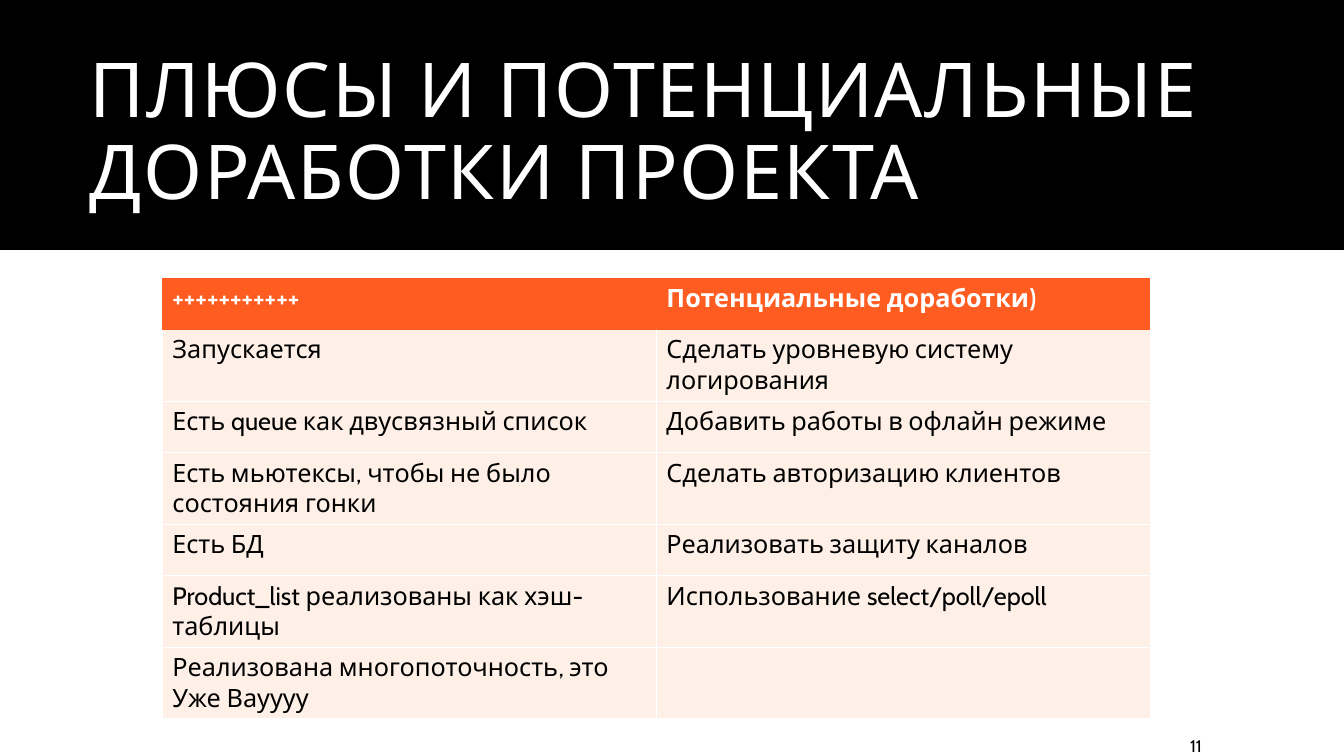
"""Build the slide on the strengths and possible improvements of a project."""
from dataclasses import dataclass

from lxml import etree
from pptx import Presentation
from pptx.dml.color import RGBColor
from pptx.enum.shapes import MSO_SHAPE
from pptx.enum.text import MSO_ANCHOR, PP_ALIGN
from pptx.oxml.ns import qn
from pptx.util import Inches, Pt

RECT = MSO_SHAPE.RECTANGLE
MIDDLE = MSO_ANCHOR.MIDDLE
LEFT, RIGHT, JUSTIFY = PP_ALIGN.LEFT, PP_ALIGN.RIGHT, PP_ALIGN.JUSTIFY
TITLE_ONLY = 5
WIDTH, HEIGHT = Inches(13.33), Inches(7.5)


@dataclass(frozen=True)
class Theme:
    head_font: str = "Karla"
    body_font: str = "Cabin"
    dark: str = "000000"
    light: str = "FFFFFF"
    accent: str = "FF5C21"
    tint: str = "FEEFE7"
    title: int = 54
    body: int = 18
    small: int = 12
    rule: int = 1


THEME = Theme()

TITLE = "ПЛЮСЫ И ПОТЕНЦИАЛЬНЫЕ ДОРАБОТКИ ПРОЕКТА"
ROWS = [
    ("+++++++++++", "Потенциальные доработки)"),
    ("Запускается", "Сделать уровневую систему логирования"),
    ("Есть queue как двусвязный список", "Добавить работы в офлайн режиме"),
    ("Есть мьютексы, чтобы не было состояния гонки", "Сделать авторизацию клиентов"),
    ("Есть БД", "Реализовать защиту каналов"),
    ("Product_list реализованы как хэш-таблицы", "Использование select/poll/epoll"),
    ("Реализована многопоточность, это Уже Вауууу", ""),
]
SHORT, TALL = 6.8, 8.13
TALL_ROWS = (3, 5, 6)
JUSTIFIED = (2, 1)


def share(part, whole):
    return int(whole * part / 100)


def area(left, top, width, height):
    return (share(left, WIDTH), share(top, HEIGHT),
            share(width, WIDTH), share(height, HEIGHT))


def paint(fill, color):
    fill.solid()
    fill.fore_color.rgb = RGBColor.from_string(color)


def style(para, font, size, color, bold=False, align=LEFT):
    para.alignment = align
    for run in para.runs:
        run.font.name = font
        run.font.size = Pt(size)
        run.font.bold = bold
        run.font.color.rgb = RGBColor.from_string(color)


def add_band(slide):
    band = slide.shapes.add_shape(RECT, *area(0, 0, 100, 33.07))
    band.shadow.inherit = False
    paint(band.fill, THEME.dark)
    band.line.fill.background()
    slide.shapes._spTree.insert(2, band._element)


def set_title(slide):
    title = slide.shapes.title
    title.left, title.top, title.width, title.height = area(5.93, 5.33, 84.25, 24.8)
    frame = title.text_frame
    frame.text = TITLE
    frame.word_wrap = True
    frame.vertical_anchor = MIDDLE
    para = frame.paragraphs[0]
    para.line_spacing = 0.9
    style(para, THEME.head_font, THEME.title, THEME.light)
    para.runs[0].font._element.set("spc", "120")


def set_edges(cell, shown):
    props = cell._tc.get_or_add_tcPr()
    for place, side in enumerate("LRTB"):
        edge = etree.Element(qn(f"a:ln{side}"), w=str(Pt(THEME.rule)))
        if side in shown:
            fill = etree.SubElement(edge, qn("a:solidFill"))
            etree.SubElement(fill, qn("a:srgbClr"), val=THEME.light)
        else:
            etree.SubElement(edge, qn("a:noFill"))
        props.insert(place, edge)


def fill_cell(cell, text, row, align):
    head = row == 0
    cell.text_frame.text = text
    style(cell.text_frame.paragraphs[0], THEME.body_font, THEME.body,
          THEME.light if head else THEME.dark, head, align)
    paint(cell.fill, THEME.accent if head else THEME.tint)
    set_edges(cell, {0: "", 1: "LRB"}.get(row, "LRTB"))


def add_grid(slide):
    place = area(12.08, 36.8, 73.52, 55.07)
    grid = slide.shapes.add_table(len(ROWS), len(ROWS[0]), *place).table
    for row, texts in enumerate(ROWS):
        grid.rows[row].height = share(TALL if row in TALL_ROWS else SHORT, HEIGHT)
        for col, text in enumerate(texts):
            align = JUSTIFY if (row, col) == JUSTIFIED else LEFT
            fill_cell(grid.cell(row, col), text, row, align)


def add_number(slide, number):
    frame = slide.shapes.add_textbox(*area(82.52, 96, 7.65, 5.33)).text_frame
    frame.word_wrap = True
    frame.vertical_anchor = MIDDLE
    frame.text = number
    style(frame.paragraphs[0], THEME.body_font, THEME.small, THEME.dark, align=RIGHT)


def main():
    deck = Presentation()
    deck.slide_width, deck.slide_height = WIDTH, HEIGHT
    slide = deck.slides.add_slide(deck.slide_layouts[TITLE_ONLY])
    paint(slide.background.fill, THEME.light)
    add_band(slide)
    set_title(slide)
    add_grid(slide)
    add_number(slide, "11")
    deck.save("out.pptx")


if __name__ == "__main__":
    main()
